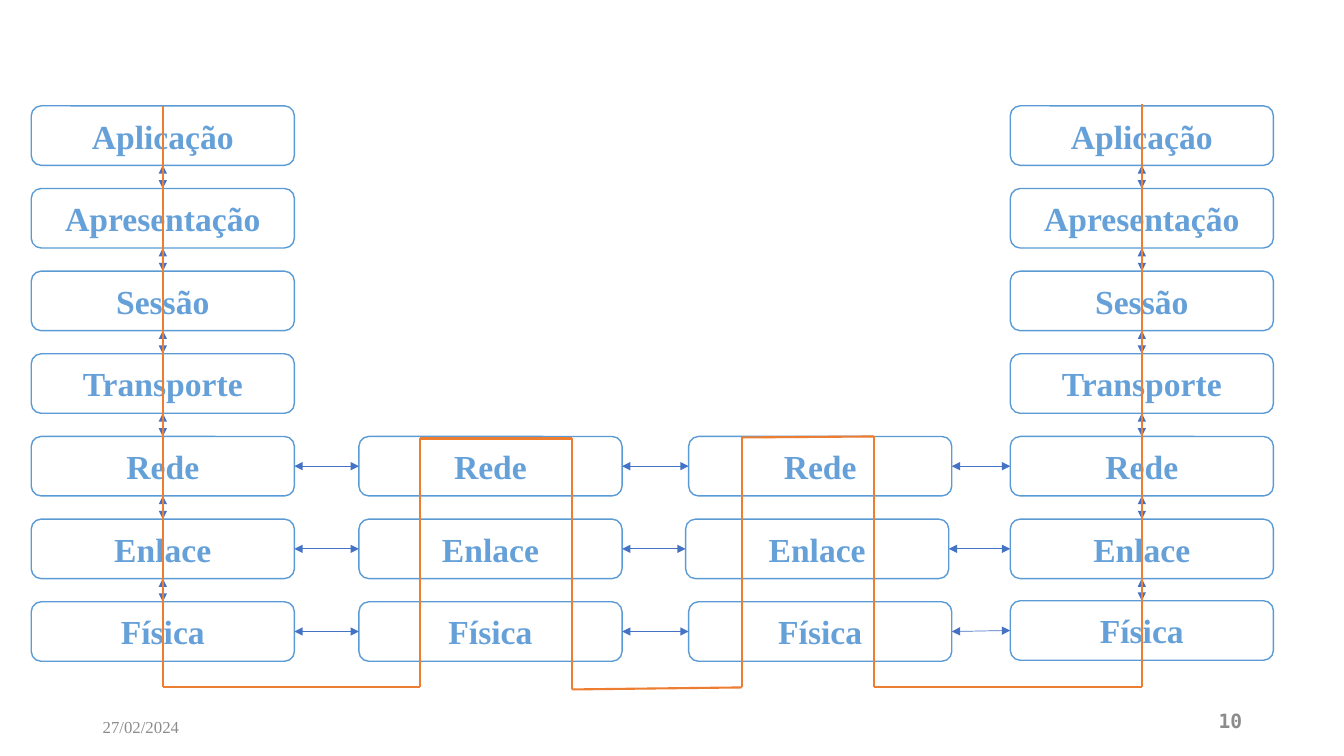
import itertools

import pptx
import pptx.dml.color
import pptx.enum.shapes
import pptx.enum.text
import pptx.oxml.ns
import pptx.util
from lxml import etree

PX = 9144
LAYERS = ["Aplicação", "Apresentação", "Sessão", "Transporte", "Rede", "Enlace", "Física"]
LAYER_PITCH = 82
BOX_WIDTH, BOX_HEIGHT = 261, 59
TOP, LEFT, BOTTOM, RIGHT = range(4)
ALIGN = pptx.enum.text.PP_ALIGN
LAYER_FONT = {"name": "Times New Roman", "size": pptx.util.Pt(24), "bold": True}
DATE_FONT = {"name": "Times New Roman", "size": pptx.util.Pt(12), "bold": False}
NUMBER_FONT = {"name": "DejaVu Sans Mono", "size": pptx.util.Pt(14), "bold": True}


def px(*lengths):
    return [length * PX for length in lengths]


def color(hex_string):
    return pptx.dml.color.RGBColor.from_string(hex_string)


def write(shape, text, font, hex_string, alignment):
    frame = shape.text_frame
    frame.word_wrap = True
    frame.vertical_anchor = pptx.enum.text.MSO_ANCHOR.MIDDLE
    paragraph = frame.paragraphs[0]
    paragraph.alignment = alignment
    run = paragraph.add_run()
    run.text = text
    for name, value in font.items():
        setattr(run.font, name, value)
    run.font.color.rgb = color(hex_string)


def add_line(slide, start, end, hex_string, width):
    connector = slide.shapes.add_connector(
        pptx.enum.shapes.MSO_CONNECTOR.STRAIGHT, *px(*start, *end))
    connector.line.color.rgb = color(hex_string)
    connector.line.width = pptx.util.Pt(width)
    etree.SubElement(connector._element.spPr, pptx.oxml.ns.qn("a:effectLst"))
    return connector


def add_arrow(slide, first, first_site, second, second_site):
    connector = add_line(slide, (0, 0), (0, 0), "4472C4", 0.5)
    connector.begin_connect(first, first_site)
    connector.end_connect(second, second_site)
    outline = connector.line._get_or_add_ln()
    for tag in ("a:headEnd", "a:tailEnd"):
        etree.SubElement(outline, pptx.oxml.ns.qn(tag), type="triangle")


def add_layer(slide, left, top, name):
    box = slide.shapes.add_shape(
        pptx.enum.shapes.MSO_SHAPE.ROUNDED_RECTANGLE, *px(left, top, BOX_WIDTH, BOX_HEIGHT))
    box.shadow.inherit = False
    box.fill.solid()
    box.fill.fore_color.rgb = color("FFFFFF")
    box.line.color.rgb = color("5B9BD5")
    box.line.width = pptx.util.Pt(1)
    write(box, name, LAYER_FONT, "65A1D8", ALIGN.CENTER)
    return box


def add_stack(slide, left, top, names, shifts):
    boxes = {}
    for row, name in enumerate(names):
        shift_x, shift_y = shifts.get(name, (0, 0))
        boxes[name] = add_layer(slide, left + shift_x, top + row * LAYER_PITCH + shift_y, name)
    return boxes


def add_network(slide, top):
    router_layers = LAYERS[4:]
    router_top = top + 4 * LAYER_PITCH
    source = add_stack(slide, 31, top, LAYERS, {})
    target = add_stack(slide, 1002, top, LAYERS, {"Física": (0, -1)})
    first_router = add_stack(slide, 356, router_top, router_layers, {})
    second_router = add_stack(slide, 683, router_top, router_layers, {"Enlace": (-3, 0)})
    for near, far in itertools.pairwise([source, first_router, second_router, target]):
        for name in router_layers:
            add_arrow(slide, near[name], RIGHT, far[name], LEFT)
    for host in (source, target):
        for upper, lower in itertools.pairwise(LAYERS):
            add_arrow(slide, host[upper], BOTTOM, host[lower], TOP)


def add_route(slide, points):
    for start, end in itertools.pairwise(points):
        add_line(slide, start, end, "ED7D31", 1.5)


def add_footer(slide, box, text, font, alignment):
    write(slide.shapes.add_textbox(*px(*box)), text, font, "8C8C8C", alignment)


def main():
    presentation = pptx.Presentation()
    presentation.slide_width, presentation.slide_height = px(1333, 750)
    slide = presentation.slides.add_slide(presentation.slide_layouts[6])
    add_footer(slide, (92, 701, 300, 40), "27/02/2024", DATE_FONT, ALIGN.LEFT)
    add_footer(slide, (942, 695, 300, 40), "10", NUMBER_FONT, ALIGN.RIGHT)
    add_network(slide, 105)
    add_route(slide, [
        (162, 105), (162, 682), (417, 682), (417, 435), (567, 435), (567, 684),
        (736, 682), (736, 434), (867, 433), (867, 682), (1133, 682), (1133, 103)])
    presentation.save("out.pptx")


if __name__ == "__main__":
    main()
